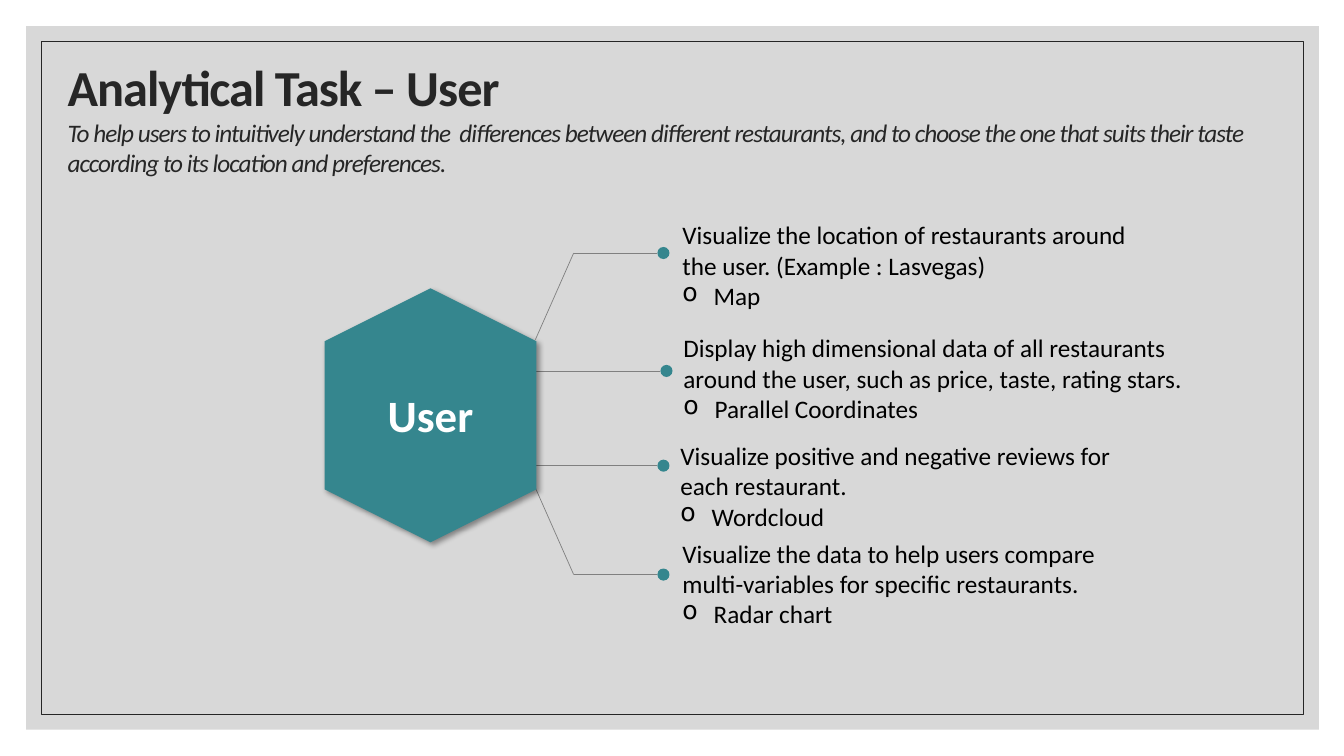
import lxml.etree
import pptx
import pptx.dml.color
import pptx.enum.shapes
import pptx.enum.text
import pptx.oxml
import pptx.oxml.ns
import pptx.util

Inches = pptx.util.Inches
Pt = pptx.util.Pt
SHAPE = pptx.enum.shapes.MSO_SHAPE
TEAL, INK, GREY = "35868E", "262626", "808080"
DOT_SIZE = 0.12
HEXAGON_EDGE, BEND = 5.31, 5.69

TASKS = [
    ("Visualize the location of restaurants around the user. (Example : Lasvegas)",
     "Map", (6.67, 2.13, 4.87, 1.01), (6.52, 2.51), [(HEXAGON_EDGE, 3.37), (BEND, 2.51)]),
    ("Display high dimensional data of all restaurants around the user, such as price, taste, rating stars.",
     "Parallel Coordinates", (6.68, 3.25, 5.36, 1.01), (6.55, 3.68), [(5.17, 3.68)]),
    ("Visualize positive and negative reviews for each restaurant.",
     "Wordcloud", (6.65, 4.32, 4.89, 1.01), (6.52, 4.62), [(5.15, 4.62)]),
    ("Visualize the data to help users compare multi-variables for specific restaurants.",
     "Radar chart", (6.67, 5.29, 4.54, 1.01), (6.52, 5.7), [(HEXAGON_EDGE, 4.84), (BEND, 5.7)]),
]


def color(value):
    """Turn a hex string into a colour."""
    return pptx.dml.color.RGBColor.from_string(value)


def add_child(parent, tag, **attributes):
    """Append a drawing element with the given attributes."""
    child = lxml.etree.SubElement(parent, pptx.oxml.ns.qn(tag))
    for name, value in attributes.items():
        child.set(name, value)
    return child


def style_font(font, size, value, bold=False):
    """Set the typeface, size, colour and weight of a font."""
    font.name = "Calibri"
    font.size = Pt(size)
    font.color.rgb = color(value)
    font.bold = bold


def add_plain_shape(page, kind, box, fill=None, line=None):
    """Add a flat shape with an optional fill and outline."""
    shape = page.shapes.add_shape(kind, *map(Inches, box))
    shape.shadow.inherit = False
    if fill:
        shape.fill.solid()
        shape.fill.fore_color.rgb = color(fill)
    else:
        shape.fill.background()
    if line:
        shape.line.color.rgb = color(line)
        shape.line.width = Pt(0.5)
    else:
        shape.line.fill.background()
    return shape


def add_frame(page, box, gap):
    """Draw the translucent panel and its thin inner border."""
    left, top, width, height = box
    panel = add_plain_shape(page, SHAPE.RECTANGLE, box, fill="BFBFBF")
    tint = panel.fill._xPr.find(".//" + pptx.oxml.ns.qn("a:srgbClr"))
    add_child(tint, "a:alpha", val="60000")
    inner = (left + gap, top + gap, width - 2 * gap, height - 2 * gap)
    add_plain_shape(page, SHAPE.RECTANGLE, inner, line=INK)


def add_title(page, box, heading, goal):
    """Place the heading and the goal below it in the title placeholder."""
    title = page.shapes.title
    page.shapes._spTree.append(title._element)
    title.left, title.top, title.width, title.height = map(Inches, box)
    frame = title.text_frame
    frame.word_wrap = True
    frame.margin_top = 0
    frame.vertical_anchor = pptx.enum.text.MSO_ANCHOR.TOP
    para = frame.paragraphs[0]
    para.alignment = pptx.enum.text.PP_ALIGN.LEFT
    for text, size, is_heading in ((heading, 36, True), (goal, 18, False)):
        span = para.add_run()
        span.text = text
        style_font(span.font, size, INK, bold=is_heading)
        span.font.italic = not is_heading
        span._r.get_or_add_rPr().set("spc", "-70")
        if is_heading:
            para.add_line_break()


def add_leader(page, points, dot):
    """Draw a thin line through the points to a dot."""
    stops = points + [dot]
    for start, end in zip(stops, stops[1:]):
        line = page.shapes.add_connector(
            pptx.enum.shapes.MSO_CONNECTOR.STRAIGHT, *map(Inches, start + end))
        line.line.color.rgb = color(GREY)
        line.line.width = Pt(0.5)
        add_child(line._element.spPr, "a:effectLst")
    left, middle = dot
    box = (left, middle - DOT_SIZE / 2, DOT_SIZE, DOT_SIZE)
    add_plain_shape(page, SHAPE.OVAL, box, fill=TEAL)


def add_task(page, box, task, chart):
    """Write a task with its chart type as a bullet."""
    frame = page.shapes.add_textbox(*map(Inches, box)).text_frame
    frame.word_wrap = True
    para = frame.paragraphs[0]
    para.text = task
    bullet = frame.add_paragraph()
    bullet.text = chart
    properties = bullet._p.get_or_add_pPr()
    indent = Inches(0.31)
    properties.set("marL", str(indent))
    properties.set("indent", str(-indent))
    add_child(properties, "a:buChar", char="o")
    for item in (para, bullet):
        style_font(item.font, 18, "000000")


def add_user(page, box):
    """Draw the upright hexagon with its shadow and label inside the box."""
    left, top, width, height = box
    turned = (left + (width - height) / 2, top + (height - width) / 2, height, width)
    hexagon = add_plain_shape(page, SHAPE.HEXAGON, turned, fill=TEAL)
    hexagon.rotation = 270
    effects = hexagon._element.spPr.find(pptx.oxml.ns.qn("a:effectLst"))
    shadow = add_child(effects, "a:outerShdw", blurRad=str(Pt(4)), dist=str(Pt(3)),
                       dir="2700000", algn="tl", rotWithShape="0")
    add_child(add_child(shadow, "a:srgbClr", val="000000"), "a:alpha", val="40000")
    label = (left + width / 2 - 0.53, top + height / 2 - 0.32, 1.06, 0.64)
    frame = page.shapes.add_textbox(*map(Inches, label)).text_frame
    frame.word_wrap = False
    para = frame.paragraphs[0]
    para.text = "User"
    para.alignment = pptx.enum.text.PP_ALIGN.CENTER
    style_font(para.font, 32, "FFFFFF", bold=True)


def main():
    """Build the slide and save the deck."""
    deck = pptx.Presentation()
    deck.slide_width, deck.slide_height = Inches(13.33), Inches(7.5)
    page = deck.slides.add_slide(deck.slide_layouts[5])
    add_frame(page, (0.26, 0.26, 12.82, 6.98), 0.15)
    add_title(page, (0.57, 0.56, 12.27, 1.42), "Analytical Task – User",
              "To help users to intuitively understand the\u00a0 differences between different "
              "restaurants, and to choose the one that suits their taste according to its "
              "location and preferences.".replace("\\u00a0", " "))
    for task, chart, box, dot, points in TASKS:
        add_leader(page, points, dot)
        add_task(page, box, task, chart)
    add_user(page, (3.22, 2.86, 2.1, 2.52))
    deck.save("out.pptx")


if __name__ == "__main__":
    main()
